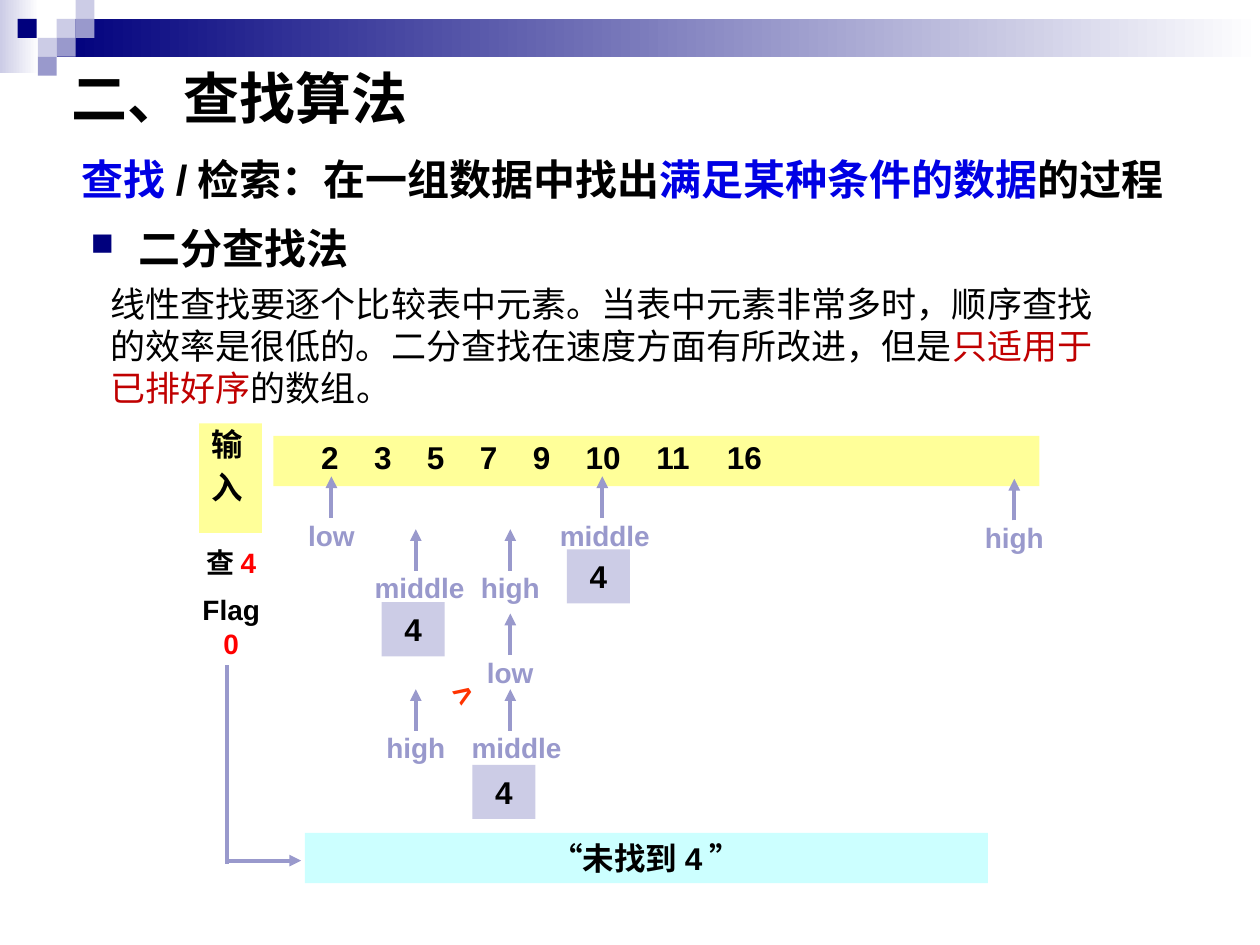
"""Build a slide that explains binary search with a worked miss."""
from lxml import etree
from pptx import Presentation
from pptx.dml.color import RGBColor
from pptx.enum.shapes import MSO_CONNECTOR, MSO_SHAPE
from pptx.enum.text import MSO_ANCHOR, PP_ALIGN
from pptx.oxml.ns import qn
from pptx.util import Inches, Pt

RECTANGLE = MSO_SHAPE.RECTANGLE
STRAIGHT = MSO_CONNECTOR.STRAIGHT
LEFT, CENTER = PP_ALIGN.LEFT, PP_ALIGN.CENTER
TOP, MIDDLE = MSO_ANCHOR.TOP, MSO_ANCHOR.MIDDLE
LATIN, CJK = "Arial", "Noto Sans CJK SC"

COLORS = {
    "black": "000000", "white": "FFFFFF", "navy": "00007D", "blue": "0000E4",
    "lilac": "9999CC", "pale": "CCCCE6", "yellow": "FFFF99", "cyan": "CCFFFF",
    "crimson": "C00000", "red": "FF0000", "orange": "FF3300",
}

BANDS = [((0, 0, 0.31, 0.58), "pale"), ((0.45, 0.15, 9.55, 0.3), "navy")]
SQUARE = 0.15
SQUARES = [
    (0.45, 0.15, "pale"), (0.6, 0, "pale"), (0.6, 0.15, "lilac"),
    (0.3, 0.3, "pale"), (0.14, 0.15, "navy"), (0.45, 0.3, "lilac"),
    (0.3, 0.45, "lilac"),
]

TITLE = [[("二、查找算法", "black")]]
METHOD = [[("二分查找法", "black")]]
DEFINITION = [[
    ("查找", "blue"), ("/检索：在一组数据中找出", "black"),
    ("满足某种条件的数据", "blue"), ("的过程", "black"),
]]
EXPLANATION = [[
    ("线性查找要逐个比较表中元素。当表中元素非常多时，顺序查找的效率是很低的。"
     "二分查找在速度方面有所改进，但是", "black"),
    ("只适用于已排好序", "crimson"), ("的数组。", "black"),
]]
INPUT = [[("输", "black")], [("入", "black")]]
NUMBERS = ["2", "3", "5", "7", "9", "10", "11", "16"]
DIGIT_WIDTH, NUMBER_GAP = 0.14, 0.28
TARGET = [[("查", "black"), ("4", "red")], [("Flag", "black"), ("0", "red")]]
RESULT = [[("“未找到4”", "black")]]

POINTERS = [
    ("low", 2.63, 2.63, 4.11), ("high", 8.05, 8.05, 4.13),
    ("middle", 4.78, 4.8, 4.11), ("high", 4.05, 4.05, 4.53),
    ("middle", 3.3, 3.33, 4.53), ("low", 4.05, 4.05, 5.2),
    ("middle", 4.05, 4.1, 5.8), ("high", 3.3, 3.3, 5.8),
]
PROBES = [(4.5, 4.36), (3.03, 4.78), (3.75, 6.07)]
ARROW_LENGTH, LABEL_WIDTH, LABEL_HEIGHT = 0.33, 1.03, 0.37


def rgb(name):
    return RGBColor.from_string(COLORS[name])


def add_block(page, at, fill, fade=False):
    block = page.shapes.add_shape(RECTANGLE, *map(Inches, at))
    block.shadow.inherit = False
    block.line.fill.background()
    if fade:
        block.fill.gradient()
        block.fill.gradient_angle = 0
        for stop, color, place in zip(block.fill.gradient_stops, (fill, "white"), (0, 1)):
            stop.color.rgb = rgb(color)
            stop.position = place
    else:
        block.fill.solid()
        block.fill.fore_color.rgb = rgb(fill)
    return block


def add_tabs(para, stops):
    tabs = etree.SubElement(para._p.get_or_add_pPr(), qn("a:tabLst"))
    for stop in stops:
        etree.SubElement(tabs, qn("a:tab"), pos=str(Inches(stop)), algn="l")


def add_bullet(para, color):
    props = para._p.get_or_add_pPr()
    props.set("marL", str(Inches(0.38)))
    props.set("indent", str(Inches(-0.38)))
    paint = etree.SubElement(props, qn("a:buClr"))
    etree.SubElement(paint, qn("a:srgbClr"), val=COLORS[color])
    etree.SubElement(props, qn("a:buSzPct"), val="75000")
    etree.SubElement(props, qn("a:buChar"), char="■")


def add_text(page, text, at, size=18, bold=True, font=LATIN, align=LEFT, anchor=TOP,
             fill=None, gap=0, spacing=None, tabs=(), bullet=None, turn=0):
    if fill:
        box = add_block(page, at, fill)
    else:
        box = page.shapes.add_textbox(*map(Inches, at))
    box.rotation = turn
    frame = box.text_frame
    frame.word_wrap = True
    frame.vertical_anchor = anchor
    for index, spans in enumerate(text):
        para = frame.add_paragraph() if index else frame.paragraphs[0]
        para.alignment = align
        if index:
            para.space_before = Pt(gap)
        if spacing:
            para.line_spacing = spacing
        if bullet:
            add_bullet(para, bullet)
        if tabs:
            add_tabs(para, tabs)
        for words, color in spans:
            span = para.add_run()
            span.text = words
            span.font.size = Pt(size)
            span.font.bold = bold
            span.font.name = font
            span.font.color.rgb = rgb(color)
            etree.SubElement(span.font._element, qn("a:ea"), typeface=CJK)
    return box


def add_line(page, start, end, arrow=True):
    line = page.shapes.add_connector(STRAIGHT, *map(Inches, start + end))
    line.line.width = Pt(2.25)
    line.line.color.rgb = rgb("lilac")
    if arrow:
        etree.SubElement(line.line._get_or_add_ln(), qn("a:tailEnd"), type="triangle")
    etree.SubElement(line._element.spPr, qn("a:effectLst"))


def add_pointer(page, word, tip, middle, base):
    at = (middle - LABEL_WIDTH / 2, base - 0.05, LABEL_WIDTH, LABEL_HEIGHT)
    add_text(page, [[(word, "lilac")]], at, size=16, align=CENTER, anchor=MIDDLE)
    add_line(page, (tip, base), (tip, base - ARROW_LENGTH))


def add_numbers(page):
    stops, position = [], 0
    for number in NUMBERS:
        position += NUMBER_GAP
        stops.append(position)
        position += DIGIT_WIDTH * len(number)
    row = [[("".join("\t" + number for number in NUMBERS), "black")]]
    add_text(page, row, (2.17, 3.46, 6.08, 0.4), fill="yellow", spacing=0.9, tabs=stops)


def main():
    deck = Presentation()
    deck.slide_width, deck.slide_height = Inches(10), Inches(7.5)
    page = deck.slides.add_slide(deck.slide_layouts[6])

    for at, color in BANDS:
        add_block(page, at, color, fade=True)
    for left, top, color in SQUARES:
        add_block(page, (left, top, SQUARE, SQUARE), color)

    add_text(page, TITLE, (0.47, 0.55, 9, 0.44), size=32, anchor=MIDDLE)
    add_text(page, METHOD, (0.62, 1.72, 9.22, 1.33), size=24, bullet="navy")
    add_text(page, DEFINITION, (0.55, 1.17, 9.92, 0.51), size=24)
    add_text(page, EXPLANATION, (0.78, 2.19, 8.2, 1.11), size=20, bold=False, font=CJK)

    add_text(page, INPUT, (1.58, 3.36, 0.5, 0.87), fill="yellow", spacing=0.9, gap=5)
    add_numbers(page)
    for pointer in POINTERS:
        add_pointer(page, *pointer)
    for left, top in PROBES:
        add_text(page, [[("4", "black")]], (left, top, 0.5, 0.43),
                 align=CENTER, anchor=MIDDLE, fill="pale")
    add_text(page, [[(">", "orange")]], (3.5, 5.28, 0.42, 0.43), turn=326.9)

    add_text(page, TARGET, (1.5, 4.28, 0.67, 1.04), size=16, align=CENTER, gap=8)
    add_line(page, (1.8, 5.28), (1.8, 6.86), arrow=False)
    add_text(page, RESULT, (2.42, 6.61, 5.42, 0.4), align=CENTER, anchor=MIDDLE, fill="cyan")
    add_line(page, (1.8, 6.83), (2.39, 6.83))
    deck.save("out.pptx")


if __name__ == "__main__":
    main()
